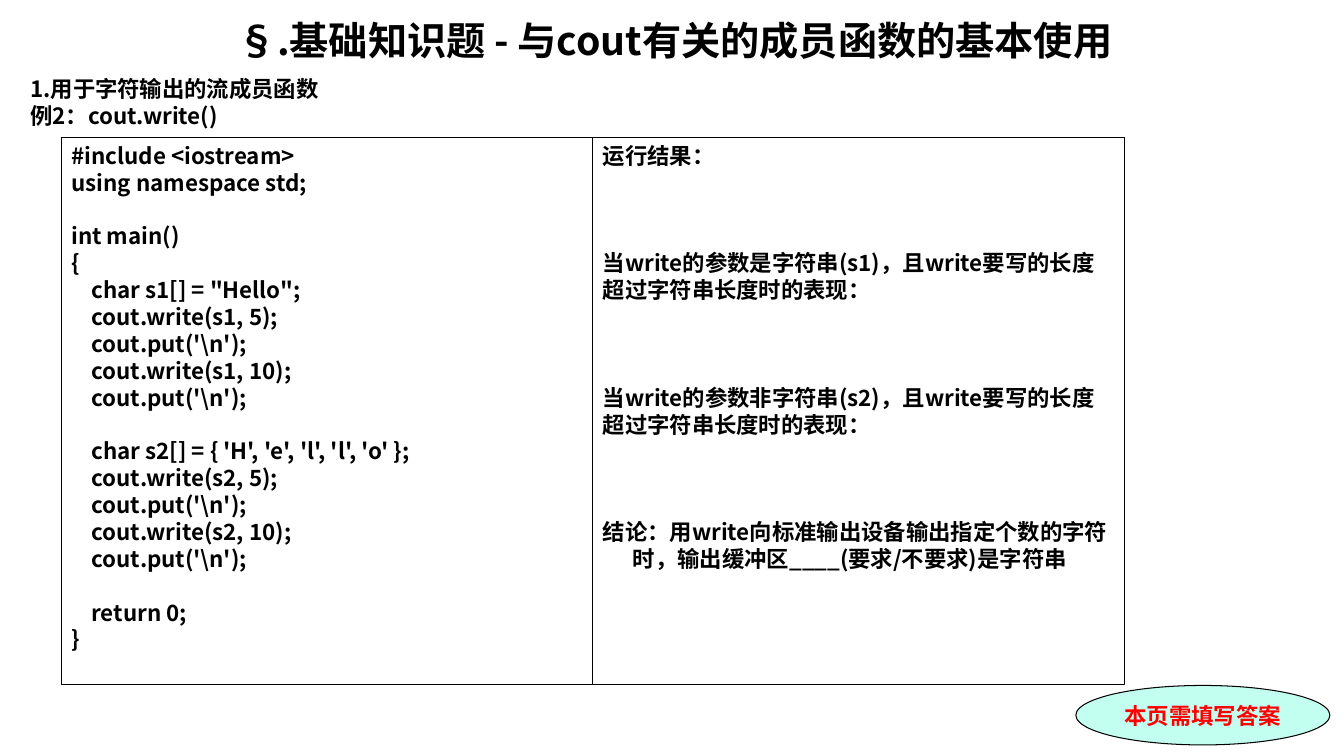
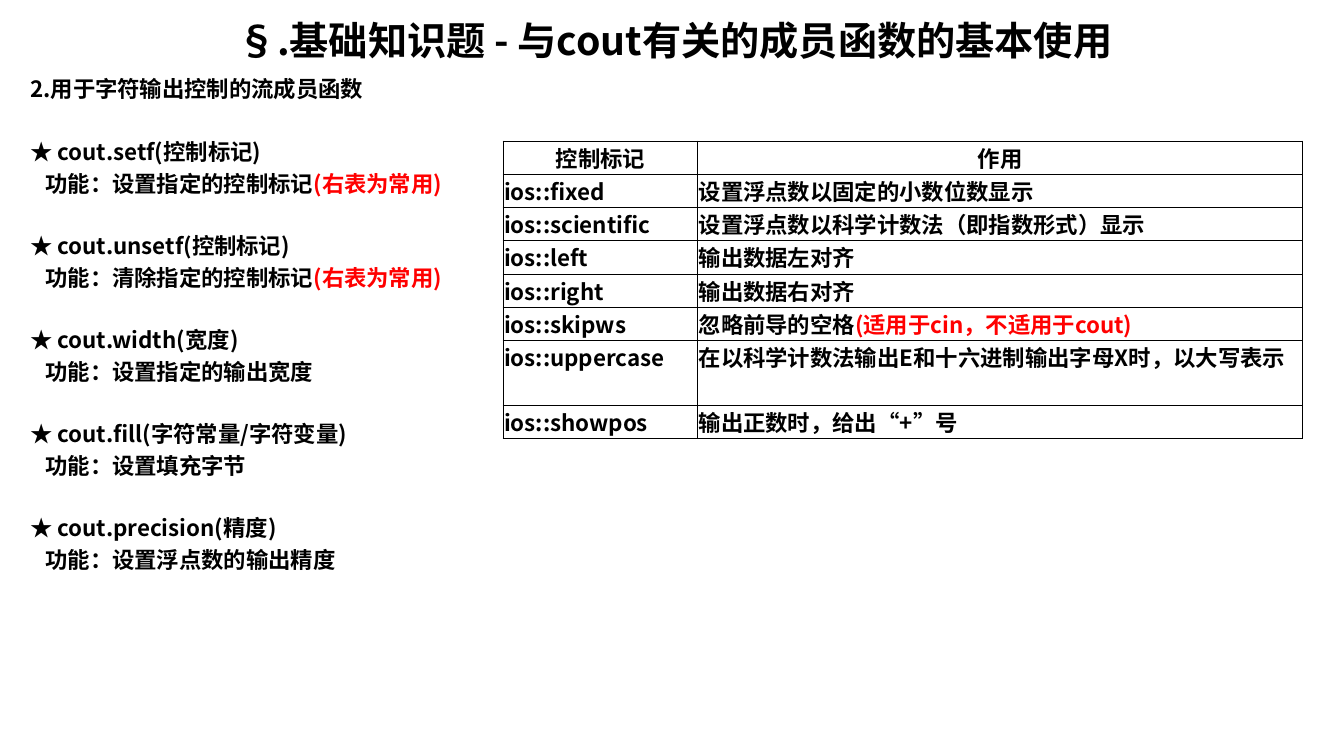
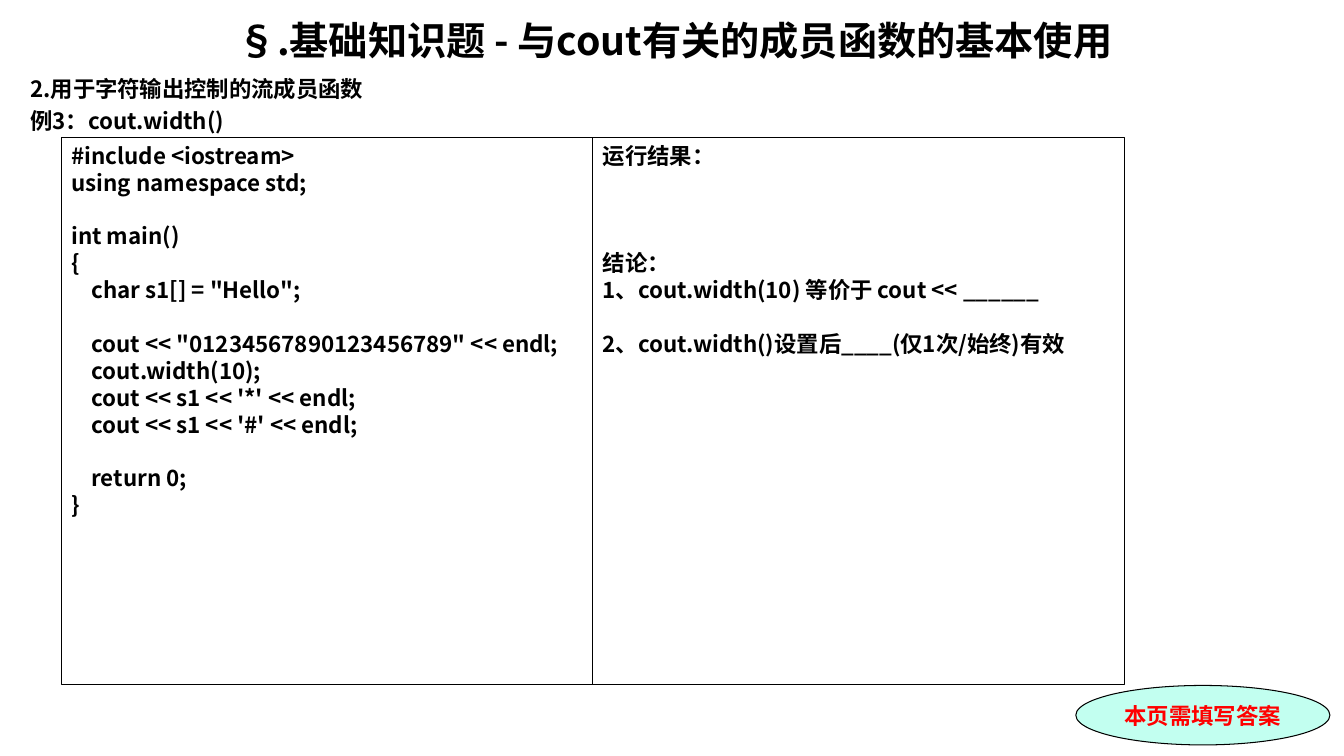
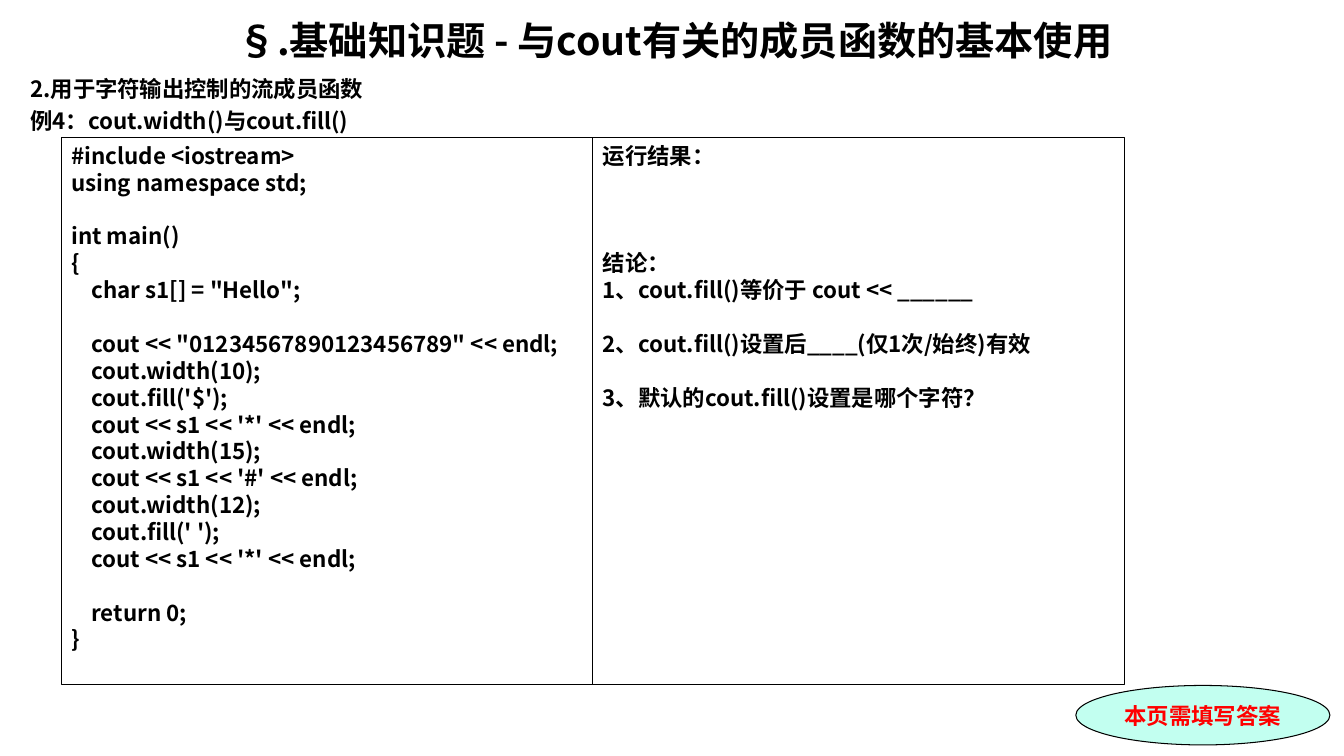
from lxml import etree
from pptx import Presentation
from pptx.dml.color import RGBColor
from pptx.enum.shapes import MSO_SHAPE
from pptx.enum.text import MSO_ANCHOR, MSO_AUTO_SIZE, PP_ALIGN
from pptx.oxml.ns import qn
from pptx.util import Pt

PX = 9144  # 100 px to the inch
COLORS = {"ink": "000000", "accent": "FF0000", "badge": "C2FFF0"}
FONT, BADGE_FONT = "Noto Sans CJK SC", "Times New Roman"
LEFT, CENTER = PP_ALIGN.LEFT, PP_ALIGN.CENTER
TOP, MIDDLE = MSO_ANCHOR.TOP, MSO_ANCHOR.MIDDLE
RECTANGLE, OVAL = MSO_SHAPE.RECTANGLE, MSO_SHAPE.OVAL
NO_AUTOFIT = MSO_AUTO_SIZE.NONE

TEXT_SIZE, TITLE_SIZE = 16, 28
LINE_PITCH, BODY_GAP = 19.2, 3.2  # points
SPACE_WIDTH = 5  # px of indent for each leading space

TITLE_AT = (20, 16, 1299, 56)
BODY_AT = (20, 75, 1299, 652)
CODE_AT = (61, 136, 527, 543)
RESULT_AT = (588, 136, 527, 543)
BADGE_AT = (1067, 680, 252, 59)
TABLE_AT = (499, 140)
COLUMN_WIDTHS, ROW_HEIGHT = (193, 600), 33

TITLE = "§.基础知识题 - 与cout有关的成员函数的基本使用"
BADGE = "本页需填写答案"
CONTROL = "2.用于字符输出控制的流成员函数"
COMMON = "(右表为常用)"

# In every text an empty line is a gap, and the second part of a tuple is accented.
CODE_HEAD = """#include <iostream>
using namespace std;

int main()
{
    char s1[] = "Hello";
"""
CODE_TAIL = """
    return 0;
}"""

WRITE_CODE = r"""    cout.write(s1, 5);
    cout.put('\n');
    cout.write(s1, 10);
    cout.put('\n');

    char s2[] = { 'H', 'e', 'l', 'l', 'o' };
    cout.write(s2, 5);
    cout.put('\n');
    cout.write(s2, 10);
    cout.put('\n');
"""
WRITE_RESULT = """运行结果：



当write的参数是字符串(s1)，且write要写的长度
超过字符串长度时的表现：



当write的参数非字符串(s2)，且write要写的长度
超过字符串长度时的表现：



结论：用write向标准输出设备输出指定个数的字符
      时，输出缓冲区____(要求/不要求)是字符串"""

WIDTH_CODE = """
    cout << "01234567890123456789" << endl;
    cout.width(10);
    cout << s1 << '*' << endl;
    cout << s1 << '#' << endl;
"""
WIDTH_RESULT = """运行结果：



结论：
1、cout.width(10) 等价于 cout << ______

2、cout.width()设置后____(仅1次/始终)有效"""

FILL_CODE = """
    cout << "01234567890123456789" << endl;
    cout.width(10);
    cout.fill('$');
    cout << s1 << '*' << endl;
    cout.width(15);
    cout << s1 << '#' << endl;
    cout.width(12);
    cout.fill(' ');
    cout << s1 << '*' << endl;
"""
FILL_RESULT = """运行结果：



结论：
1、cout.fill()等价于 cout << ______

2、cout.fill()设置后____(仅1次/始终)有效

3、默认的cout.fill()设置是哪个字符？"""

FUNCTIONS = [
    CONTROL, "",
    "★ cout.setf(控制标记)", ("   功能：设置指定的控制标记", COMMON), "",
    "★ cout.unsetf(控制标记)", ("   功能：清除指定的控制标记", COMMON), "",
    "★ cout.width(宽度)", "   功能：设置指定的输出宽度", "",
    "★ cout.fill(字符常量/字符变量)", "   功能：设置填充字节", "",
    "★ cout.precision(精度)", "   功能：设置浮点数的输出精度",
]
FLAGS = [
    ("控制标记", "作用"),
    ("ios::fixed", "设置浮点数以固定的小数位数显示"),
    ("ios::scientific", "设置浮点数以科学计数法（即指数形式）显示"),
    ("ios::left", "输出数据左对齐"),
    ("ios::right", "输出数据右对齐"),
    ("ios::skipws", ("忽略前导的空格", "(适用于cin，不适用于cout)")),
    ("ios::uppercase", "在以科学计数法输出E和十六进制输出字母X时，以大写表示"),
    ("ios::showpos", "输出正数时，给出“+”号"),
]
SLIDES = [
    {"body": ["1.用于字符输出的流成员函数", "例2：cout.write()"], "gap": 0,
     "code": WRITE_CODE, "result": WRITE_RESULT},
    {"body": FUNCTIONS, "table": FLAGS},
    {"body": [CONTROL, "例3：cout.width()"],
     "code": WIDTH_CODE, "result": WIDTH_RESULT},
    {"body": [CONTROL, "例4：cout.width()与cout.fill()"],
     "code": FILL_CODE, "result": FILL_RESULT},
]


def emu(lengths):
    return [length * PX for length in lengths]


def rgb(name):
    return RGBColor.from_string(COLORS[name])


def set_all(target, **values):
    for name, value in values.items():
        setattr(target, name, value)


def add_span(para, text, color="ink", size=TEXT_SIZE, font=FONT):
    span = para.add_run()
    span.text = text
    set_all(span.font, name=font, size=Pt(size), bold=True)
    span.font.color.rgb = rgb(color)
    etree.SubElement(span.font._element, qn("a:ea"), typeface=FONT)


def fill_text(frame, lines, gap=0, pitch=None, align=LEFT, **span_format):
    """Write one paragraph a line; empty lines and leading spaces become spacing and indent."""
    blanks, para = 0, None
    for line in lines:
        if not line:
            blanks += 1
            continue
        first, *accents = line if isinstance(line, tuple) else (line,)
        before = blanks * ((pitch or 0) + gap) + (gap if para else 0)
        para = frame.add_paragraph() if para else frame.paragraphs[0]
        set_all(para, alignment=align, space_before=Pt(before))
        if pitch:
            para.line_spacing = Pt(pitch)
        text = first.lstrip()
        properties = para._p.get_or_add_pPr()
        properties.set("marL", str((len(first) - len(text)) * SPACE_WIDTH * PX))
        properties.set("indent", "0")
        etree.SubElement(properties, qn("a:buNone"))
        add_span(para, text, **span_format)
        for accent in accents:
            add_span(para, accent, "accent")
        blanks = 0


def place(holder, at):
    left, top, width, height = emu(at)
    set_all(holder, left=left, top=top, width=width, height=height)
    set_all(holder.text_frame, word_wrap=True, auto_size=NO_AUTOFIT,
            vertical_anchor=TOP, margin_top=0, margin_bottom=0)
    return holder.text_frame


def add_box(slide, kind, at, fill=None, anchor=TOP):
    box = slide.shapes.add_shape(kind, *emu(at))
    box.shadow.inherit = False
    if fill:
        box.fill.solid()
        box.fill.fore_color.rgb = rgb(fill)
    else:
        box.fill.background()
    box.line.color.rgb = rgb("ink")
    box.line.width = Pt(0.75)
    set_all(box.text_frame, word_wrap=True, vertical_anchor=anchor)
    return box.text_frame


def add_borders(cell):
    properties = cell._tc.get_or_add_tcPr()
    for position, side in enumerate(("a:lnL", "a:lnR", "a:lnT", "a:lnB")):
        border = etree.Element(qn(side), w=str(Pt(1)))
        paint = etree.SubElement(border, qn("a:solidFill"))
        etree.SubElement(paint, qn("a:srgbClr"), val=COLORS["ink"])
        properties.insert(position, border)


def add_flag_table(slide, rows):
    size = (sum(COLUMN_WIDTHS), ROW_HEIGHT * len(rows))
    table = slide.shapes.add_table(len(rows), len(COLUMN_WIDTHS), *emu(TABLE_AT + size)).table
    set_all(table, first_row=False, horz_banding=False)
    for column, width in zip(table.columns, COLUMN_WIDTHS):
        column.width = width * PX
    for index, row in enumerate(rows):
        table.rows[index].height = ROW_HEIGHT * PX
        for cell, line in zip(table.rows[index].cells, row):
            set_all(cell, margin_left=PX, margin_right=PX, margin_top=0, margin_bottom=0,
                    vertical_anchor=TOP if index else MIDDLE)
            cell.fill.background()
            add_borders(cell)
            fill_text(cell.text_frame, [line], align=LEFT if index else CENTER)


def add_exercise(slide, code, result):
    program = CODE_HEAD + code + CODE_TAIL
    for at, text in ((CODE_AT, program), (RESULT_AT, result)):
        fill_text(add_box(slide, RECTANGLE, at), text.split("\n"), pitch=LINE_PITCH)
    badge = add_box(slide, OVAL, BADGE_AT, "badge", MIDDLE)
    fill_text(badge, [BADGE], align=CENTER, color="accent", font=BADGE_FONT)


def main():
    deck = Presentation()
    deck.slide_width, deck.slide_height = emu((1333, 750))
    for content in SLIDES:
        slide = deck.slides.add_slide(deck.slide_layouts[1])
        title, body = slide.placeholders
        fill_text(place(title, TITLE_AT), [TITLE], align=CENTER, size=TITLE_SIZE)
        fill_text(place(body, BODY_AT), content["body"],
                  gap=content.get("gap", BODY_GAP), pitch=LINE_PITCH)
        if "table" in content:
            add_flag_table(slide, content["table"])
        else:
            add_exercise(slide, content["code"], content["result"])
    deck.save("out.pptx")


if __name__ == "__main__":
    main()
